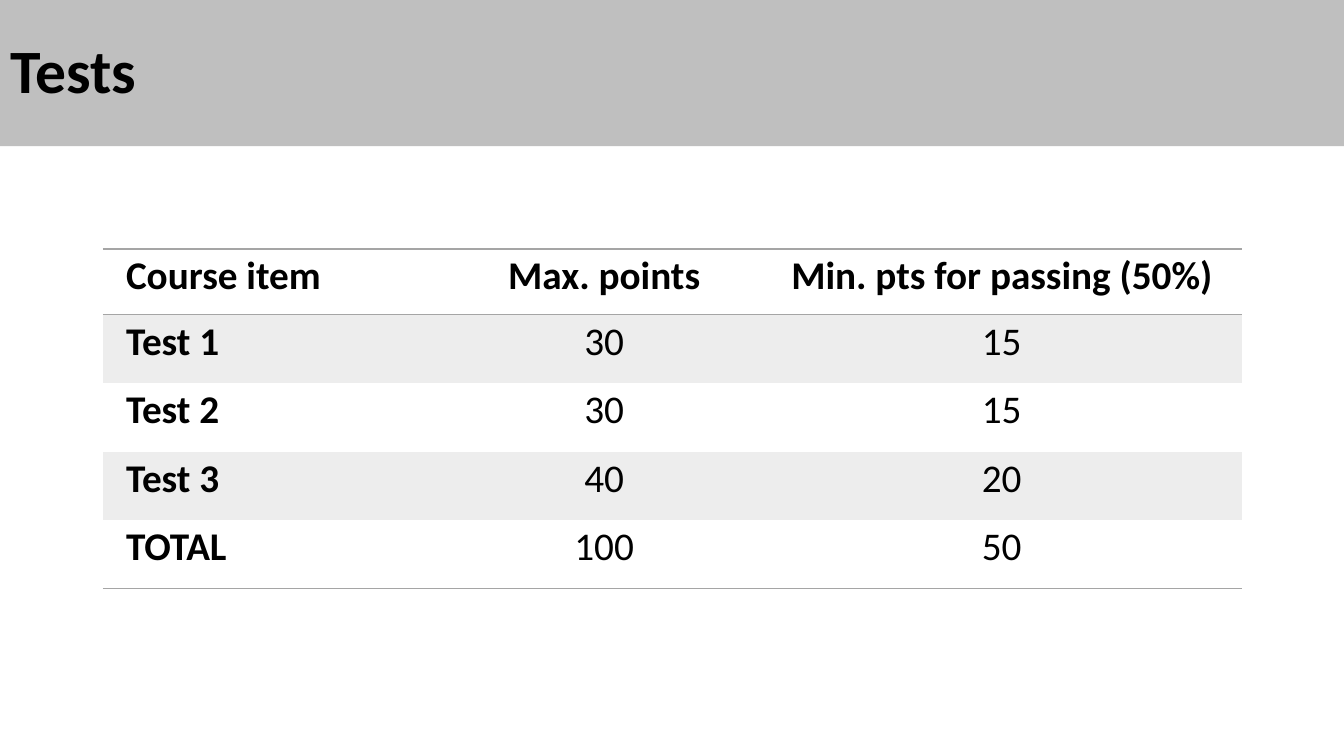
import dataclasses

import pptx
import pptx.dml.color
import pptx.enum.text
import pptx.oxml
import pptx.oxml.ns
import pptx.util

Inches = pptx.util.Inches
Pt = pptx.util.Pt
RGB = pptx.dml.color.RGBColor.from_string
ALIGN = pptx.enum.text.PP_ALIGN
ANCHOR = pptx.enum.text.MSO_ANCHOR


@dataclasses.dataclass(frozen=True)
class Theme:
    """Colours, type and table style of the slide."""
    font: str = "Calibri"
    text: str = "000000"
    banner: str = "BFBFBF"
    rule: str = "A5A5A5"
    band: str = "EDEDED"
    title_size: int = 44
    table_size: int = 28
    plain_table: str = "{2D5ABB26-0587-4C30-8999-92F81FD0307C}"


THEME = Theme()
ROWS = [
    ("Course item", "Max. points", "Min. pts for passing (50%)"),
    ("Test 1", "30", "15"),
    ("Test 2", "30", "15"),
    ("Test 3", "40", "20"),
    ("TOTAL", "100", "50"),
]


def write(tf, text, size, bold=False, align=ALIGN.LEFT, spacing=1.0, after=0):
    """Put one formatted paragraph in a text frame."""
    p = tf.paragraphs[0]
    p.alignment = align
    p.line_spacing = spacing
    p.space_before = Pt(0)
    p.space_after = Pt(after)
    r = p.add_run()
    r.text = text
    r.font.name = THEME.font
    r.font.size = Pt(size)
    r.font.bold = bold
    r.font.color.rgb = RGB(THEME.text)


def add_rule(cell, side):
    """Draw a one-point border on a cell side, T or B."""
    ns = pptx.oxml.ns.nsdecls("a")
    cell._tc.get_or_add_tcPr().append(pptx.oxml.parse_xml(
        f'<a:ln{side} {ns} w="12700"><a:solidFill><a:srgbClr val="{THEME.rule}"/>'
        f'</a:solidFill></a:ln{side}>'))


def add_banner(s, text, left, top, width, height):
    """Turn the title placeholder into a filled banner."""
    sp = s.shapes.title
    sp.left, sp.top, sp.width, sp.height = map(Inches, (left, top, width, height))
    sp.fill.solid()
    sp.fill.fore_color.rgb = RGB(THEME.banner)
    tf = sp.text_frame
    tf.word_wrap = True
    tf.auto_size = pptx.enum.text.MSO_AUTO_SIZE.NONE
    tf.vertical_anchor = ANCHOR.MIDDLE
    write(tf, text, THEME.title_size, bold=True, spacing=0.9)


def add_points_table(s, rows, left, top, width, height):
    """Add the banded points table with rules around header and total."""
    shares = (0.302, 0.276, 0.422)
    header = 0.65
    last = len(rows) - 1
    table = s.shapes.add_table(len(rows), len(shares), *map(
        Inches, (left, top, width, height))).table
    tblPr = table._tbl.tblPr
    tblPr.find(pptx.oxml.ns.qn("a:tableStyleId")).text = THEME.plain_table
    for column, share in zip(table.columns, shares):
        column.width = Inches(width * share)
    for i, values in enumerate(rows):
        table.rows[i].height = Inches(header if i == 0 else (height - header) / last)
        for j, value in enumerate(values):
            cell = table.cell(i, j)
            cell.margin_left = cell.margin_right = Inches(0.23)
            cell.margin_top = cell.margin_bottom = 0
            if i == 0:
                add_rule(cell, "T")
            if i in (0, last):
                add_rule(cell, "B")
            if i % 2:
                cell.fill.solid()
                cell.fill.fore_color.rgb = RGB(THEME.band)
            else:
                cell.fill.background()
            write(cell.text_frame, value, THEME.table_size, bold=i == 0 or j == 0,
                  align=ALIGN.CENTER if j else ALIGN.LEFT, spacing=1.07, after=8)


def main():
    """Build and save the slide."""
    prs = pptx.Presentation()
    prs.slide_width, prs.slide_height = Inches(13.33), Inches(7.5)
    s = prs.slides.add_slide(prs.slide_layouts.get_by_name("Title Only"))
    add_banner(s, "Tests", 0, 0, 13.33, 1.45)
    add_points_table(s, ROWS, 1.02, 2.47, 11.3, 3.37)
    prs.save("out.pptx")


main()
